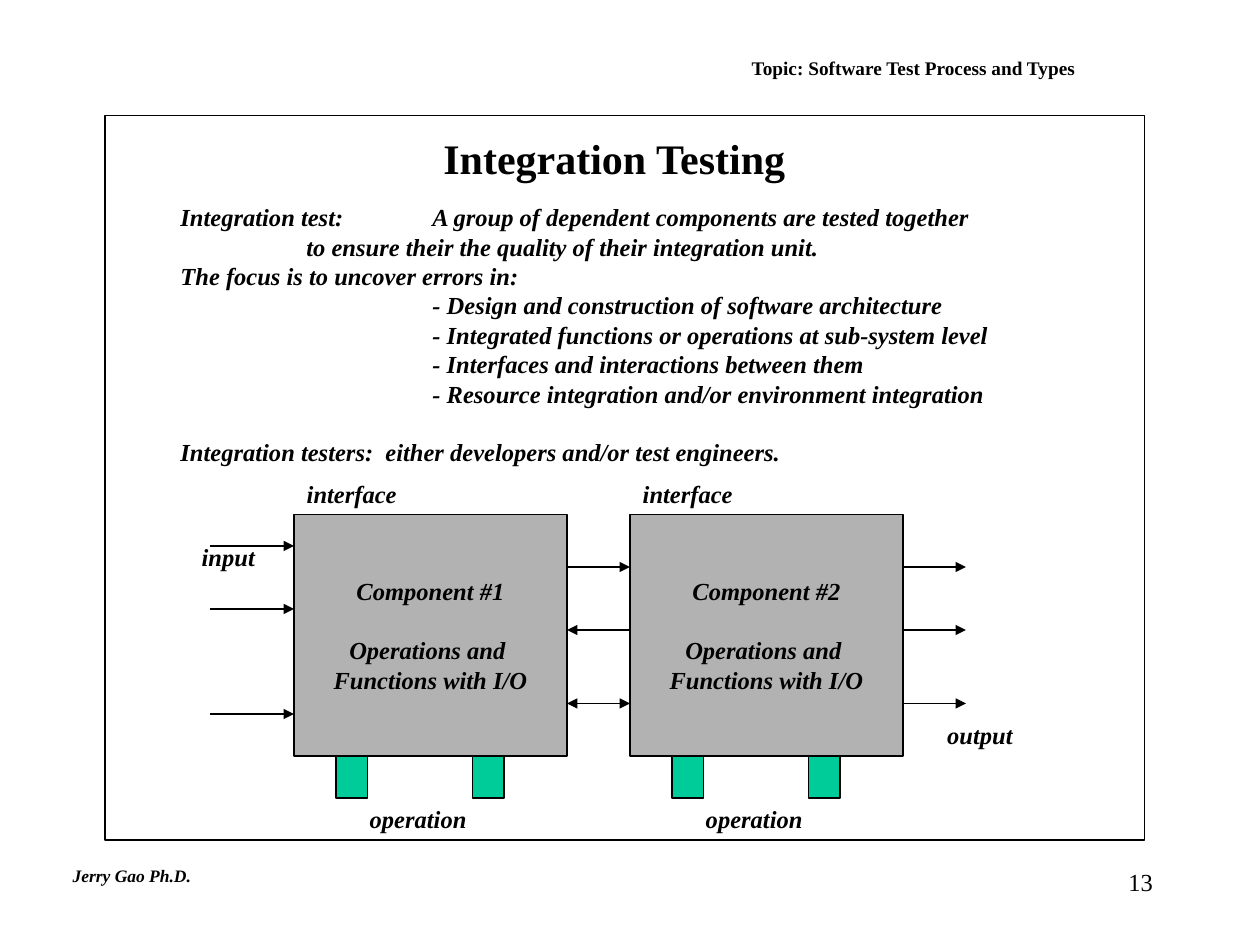
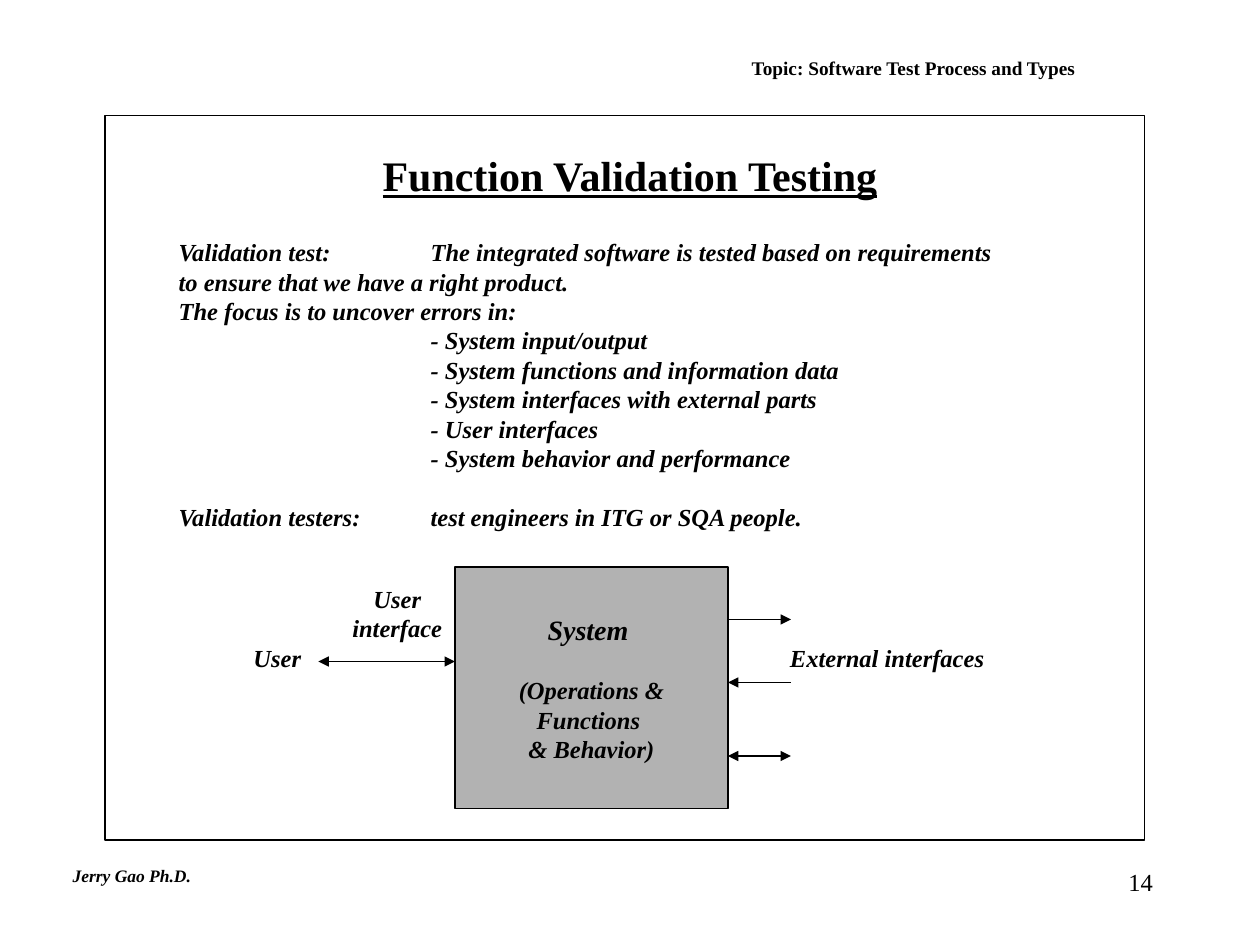
from lxml import etree
from pptx import Presentation
from pptx.dml.color import RGBColor
from pptx.enum.shapes import MSO_CONNECTOR as Connector, MSO_SHAPE as Shape
from pptx.enum.text import MSO_ANCHOR as Anchor, MSO_AUTO_SIZE as AutoSize, PP_ALIGN as Align
from pptx.oxml.ns import qn
from pptx.util import Pt

BLACK = RGBColor(0x00, 0x00, 0x00)
GREY = RGBColor(0xB2, 0xB2, 0xB2)
GREEN = RGBColor(0x00, 0xCC, 0x99)
FONT = "Times New Roman"
BODY = 14
LINE = 16.8
TAB = 72
BLOCK_WIDTH, BLOCK_HEIGHT = 156, 138
ARROW_LENGTH = 36
ARROW_DROPS = (30, 66, 108)


class Slides:
    def __init__(self):
        self.deck = Presentation()
        self.deck.slide_width, self.deck.slide_height = Pt(720), Pt(540)
        self.page = None

    def start(self, number):
        self.page = self.deck.slides.add_slide(self.deck.slide_layouts[6])
        self.label(str(number), 516, 492, 150, 36, align=Align.RIGHT,
                   wrap=True, bold=False, italic=False)
        self.label("Jerry Gao Ph.D.", 34.5, 491, 83, 19.5, size=10, align=Align.LEFT)
        self.rectangle(60, 66, 594, 414)
        topic = self.label("Topic: Software Test Process and Types", 390, 30, 264, 18,
                           size=11, wrap=True, italic=False)
        topic.text_frame.vertical_anchor = Anchor.MIDDLE

    def style(self, paragraph, size=BODY, align=Align.CENTER, bold=True, italic=True,
              underline=False):
        paragraph.alignment = align
        for span in paragraph.runs:
            font = span.font
            font.name, font.size, font.color.rgb = FONT, Pt(size), BLACK
            font.bold, font.italic, font.underline = bold, italic, underline

    def label(self, text, left, top, width, height=24, wrap=False, **look):
        box = self.page.shapes.add_textbox(Pt(left), Pt(top), Pt(width), Pt(height))
        frame = box.text_frame
        frame.word_wrap = wrap
        frame.auto_size = AutoSize.NONE if wrap else AutoSize.SHAPE_TO_FIT_TEXT
        frame.text = text
        for paragraph in frame.paragraphs:
            self.style(paragraph, **look)
        return box

    def title(self, text, left, top, width, underline=False):
        self.label(text, left, top, width, 36, wrap=True, size=24, italic=False,
                   underline=underline)

    def body(self, left, top, width, height, opening, hang, focus, items, testers):
        lines = [opening, focus, *items, testers]
        box = self.label("\n".join(lines), left, top, width, height, wrap=True,
                         align=Align.LEFT)
        box.text_frame.margin_right = Pt(58)
        paragraphs = box.text_frame.paragraphs
        self.indent(paragraphs[0], hang, -hang)
        for paragraph in paragraphs[2:-1]:
            self.indent(paragraph, 2 * TAB, 0)
        self.indent(paragraphs[-1], 0, 0)
        paragraphs[-1].space_before = Pt(LINE)

    def indent(self, paragraph, margin, first):
        properties = paragraph._p.get_or_add_pPr()
        properties.set("marL", str(Pt(margin)))
        properties.set("indent", str(Pt(first)))
        properties.set("defTabSz", str(Pt(TAB)))

    def rectangle(self, left, top, width, height, fill=None):
        shape = self.page.shapes.add_shape(Shape.RECTANGLE, Pt(left), Pt(top),
                                           Pt(width), Pt(height))
        shape.shadow.inherit = False
        shape.line.color.rgb, shape.line.width = BLACK, Pt(0.75)
        if fill is None:
            shape.fill.background()
        else:
            shape.fill.solid()
            shape.fill.fore_color.rgb = fill
        return shape

    def block(self, left, top, heading, details, heading_size=BODY):
        shape = self.rectangle(left, top, BLOCK_WIDTH, BLOCK_HEIGHT, GREY)
        frame = shape.text_frame
        frame.word_wrap, frame.vertical_anchor = False, Anchor.MIDDLE
        frame.text = "\n".join([heading, *details])
        for paragraph in frame.paragraphs:
            self.style(paragraph)
        self.style(frame.paragraphs[0], size=heading_size)
        frame.paragraphs[1].space_before = Pt(LINE)

    def arrow(self, left, right, y, ends):
        line = self.page.shapes.add_connector(Connector.STRAIGHT, Pt(left), Pt(y),
                                              Pt(right), Pt(y))
        line.line.color.rgb, line.line.width = BLACK, Pt(0.75)
        outline = line.line._get_or_add_ln()
        for side, tag in (("<", "a:headEnd"), (">", "a:tailEnd")):
            if side in ends:
                etree.SubElement(outline, qn(tag), type="triangle")
        etree.SubElement(line._element.spPr, qn("a:effectLst"))

    def side_arrows(self, block_left, block_top, directions):
        left = block_left + BLOCK_WIDTH
        for drop, ends in zip(ARROW_DROPS, directions):
            self.arrow(left, left + ARROW_LENGTH, block_top + drop, ends)

    def component(self, left, top, name, directions):
        self.block(left, top, name, ["Operations and ", "Functions with I/O"])
        self.side_arrows(left, top, directions)
        self.label("interface", left - 1, top - 24, 68)
        bottom = top + BLOCK_HEIGHT
        for offset in (24, 102):
            self.rectangle(left + offset, bottom, 18, 24, GREEN)
        self.label("operation", left + 35, bottom + 24, 72)


slides = Slides()

slides.start(13)
slides.title("Integration Testing", 108, 72, 486)
slides.body(
    96, 112, 528, 158,
    "Integration test: \tA group of dependent components are tested together "
    "to ensure their the quality of their integration unit.",
    TAB,
    "The focus is to uncover errors in:",
    ["- Design and construction of software architecture",
     "- Integrated functions or operations at sub-system level",
     "- Interfaces and interactions between them",
     "- Resource integration and/or environment integration"],
    "Integration testers:  either developers and/or test engineers.")
slides.component(168, 294, "Component #1", (">", "<", "<>"))
slides.component(360, 294, "Component #2", (">", ">", ">"))
for y in (312, 348, 408):
    slides.arrow(120, 168, y, ">")
slides.label("input", 107, 306, 47)
slides.label("output", 533, 408, 54)

slides.start(14)
slides.title("Function Validation Testing", 156, 82, 408, underline=True)
slides.body(
    95, 132, 540, 175,
    "Validation test: \tThe integrated software is tested based on requirements "
    "to ensure that we have a right product.",
    0,
    "The focus is to uncover errors in:",
    ["- System input/output",
     "- System functions and information data",
     "- System interfaces with external parts",
     "- User interfaces",
     "- System behavior and performance"],
    "Validation testers:\ttest engineers in ITG or SQA people.")
slides.block(260, 324, "System ", ["(Operations &", "Functions ", "& Behavior)"],
             heading_size=16)
slides.side_arrows(260, 324, (">", "<", "<>"))
slides.arrow(182, 260, 378, "<>")
slides.label("User\ninterface", 193, 330, 68, 41)
slides.label("User", 136.5, 364, 44)
slides.label("External interfaces", 443, 364, 128)

slides.deck.save("out.pptx")
